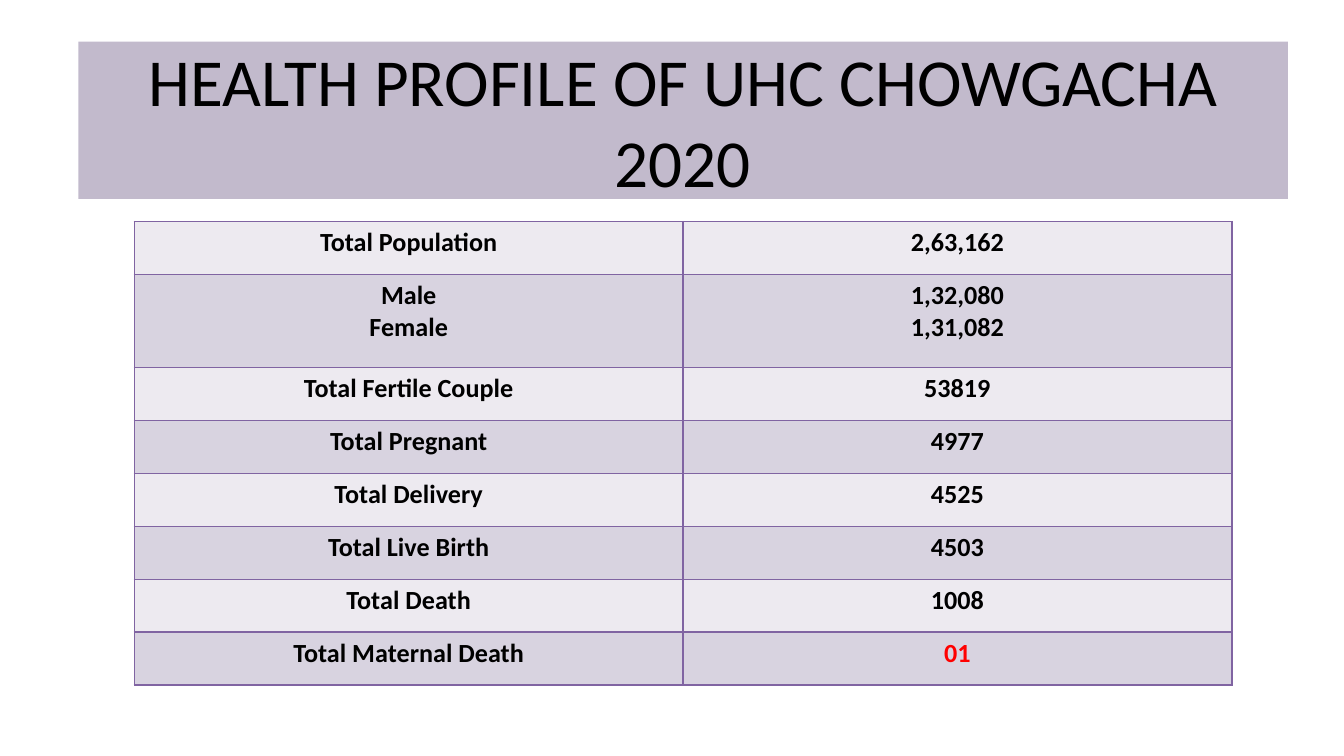
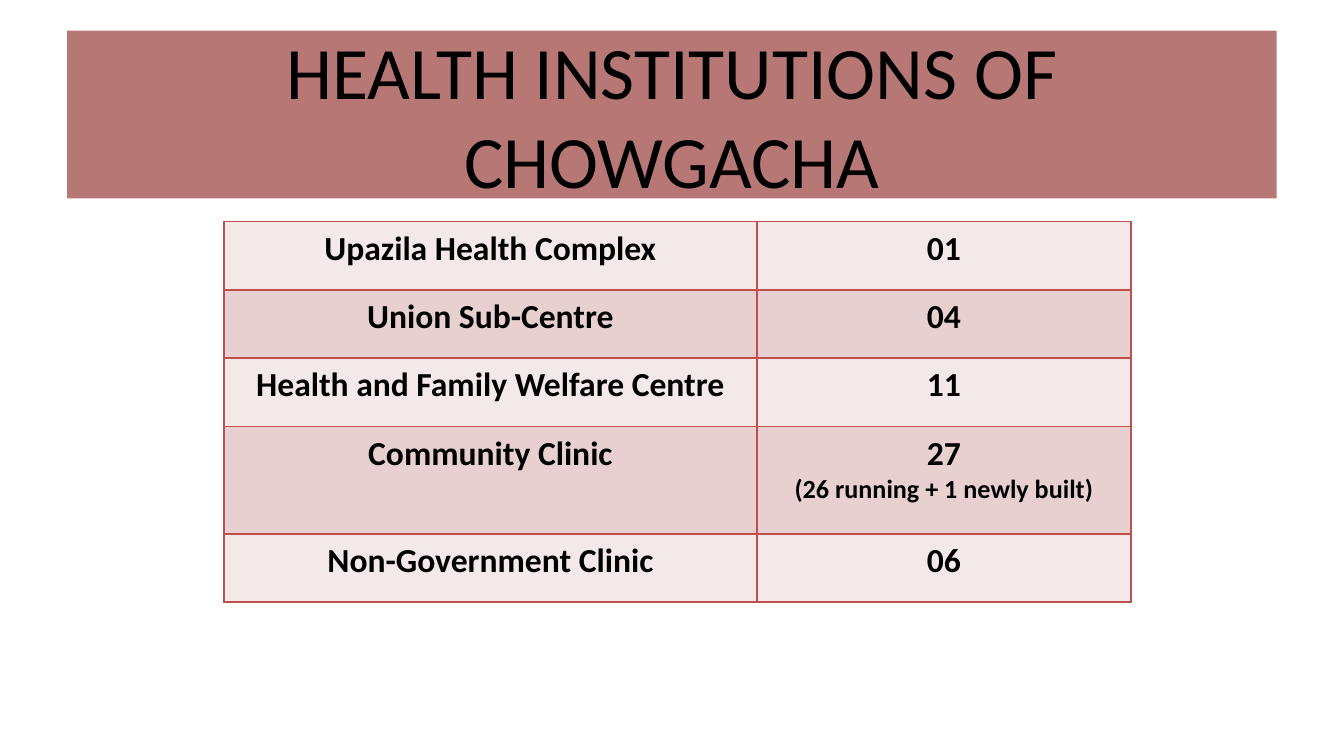
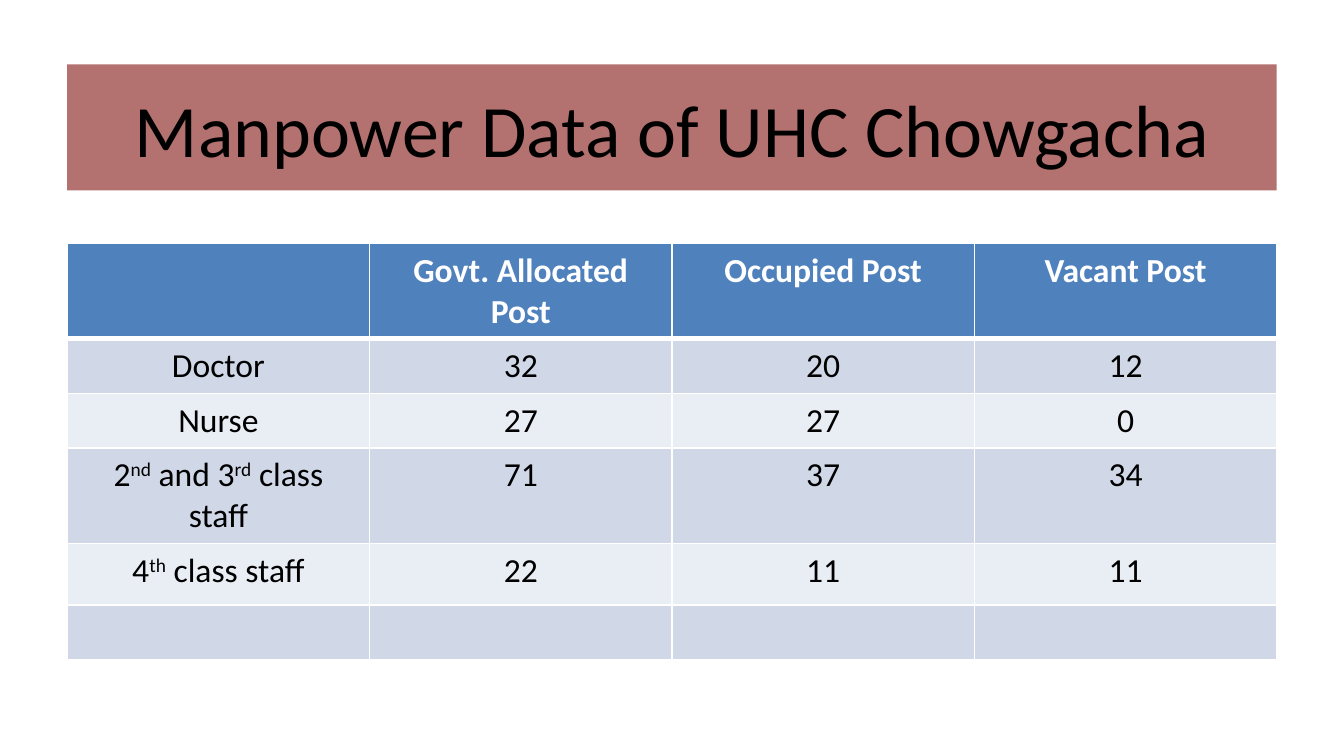
"""Build three slides on the health services of Chowgacha."""
from lxml import etree
from pptx import Presentation
from pptx import util as u
from pptx.dml.color import RGBColor
from pptx.enum import shapes, text
from pptx.oxml import ns

FONT = "Calibri"
BLACK = RGBColor(0, 0, 0)
WHITE = RGBColor(255, 255, 255)
RED = RGBColor(255, 0, 0)
PURPLE = RGBColor(0x80, 0x64, 0xA2)
PURPLE_BANDS = (RGBColor(0xED, 0xEA, 0xF0), RGBColor(0xD8, 0xD3, 0xE0))
PURPLE_BANNER = RGBColor(0x60, 0x4A, 0x7B)
ROSE = RGBColor(0xC0, 0x50, 0x4D)
ROSE_BANDS = (RGBColor(0xF4, 0xE9, 0xE9), RGBColor(0xE8, 0xD0, 0xD0))
ROSE_BANNER = RGBColor(0x95, 0x37, 0x35)
BLUE = RGBColor(0x4F, 0x81, 0xBD)
BLUE_BANDS = (RGBColor(0xE9, 0xED, 0xF4), RGBColor(0xD0, 0xD8, 0xE8))

PROFILE = (
    ("Total Population", "2,63,162"),
    ("Male\nFemale", "1,32,080\n1,31,082"),
    ("Total Fertile Couple", "53819"),
    ("Total Pregnant", "4977"),
    ("Total Delivery", "4525"),
    ("Total Live Birth", "4503"),
    ("Total Death", "1008"),
    ("Total Maternal Death", "01"),
)
INSTITUTIONS = (
    ("Upazila Health Complex", "01"),
    ("Union Sub-Centre", "04"),
    ("Health and Family Welfare Centre", "11"),
    ("Community Clinic", "27\n(26 running + 1 newly built)"),
    ("Non-Government Clinic", "06"),
)
MANPOWER = (
    ("", "Govt. Allocated Post", "Occupied Post", "Vacant Post"),
    ("Doctor", "32", "20", "12"),
    ("Nurse", "27", "27", "0"),
    ("2^nd^ and 3^rd^ class staff", "71", "37", "34"),
    ("4^th^ class staff", "22", "11", "11"),
    ("", "", "", ""),
)


def write(frame, wording, size, color=BLACK, bold=False):
    """Write centred paragraphs, raising the parts between carets."""
    for number, line in enumerate(wording.split("\n")):
        paragraph = frame.add_paragraph() if number else frame.paragraphs[0]
        paragraph.alignment = text.PP_ALIGN.CENTER
        for part, piece in enumerate(line.split("^")):
            if not piece:
                continue
            run = paragraph.add_run()
            run.text = piece
            run.font.name = FONT
            run.font.size = u.Pt(size)
            run.font.bold = bold
            run.font.color.rgb = color
            if part % 2:
                run.font._element.set("baseline", "30000")


def add_banner(slide, wording, left, top, height, color, opacity, size):
    """Add the translucent title band."""
    banner = slide.shapes.add_shape(
        shapes.MSO_SHAPE.RECTANGLE, u.Cm(left), u.Cm(top), u.Cm(22.86), u.Cm(height))
    banner.shadow.inherit = False
    banner.line.fill.background()
    banner.fill.solid()
    banner.fill.fore_color.rgb = color
    tint = banner.fill._xPr.find(".//" + ns.qn("a:srgbClr"))
    etree.SubElement(tint, ns.qn("a:alpha"), val=str(opacity * 1000))
    banner.text_frame.word_wrap = True
    banner.text_frame.vertical_anchor = text.MSO_ANCHOR.MIDDLE
    write(banner.text_frame, wording, size)


def set_borders(cell, color, top=1, bottom=1):
    """Draw the four borders of a cell, with widths in points."""
    properties = cell._tc.get_or_add_tcPr()
    for side, width in (("L", 1), ("R", 1), ("T", top), ("B", bottom)):
        edge = etree.SubElement(properties, ns.qn("a:ln" + side), w=str(u.Pt(width)))
        fill = etree.SubElement(edge, ns.qn("a:solidFill"))
        etree.SubElement(fill, ns.qn("a:srgbClr"), val=str(color))


def add_grid(slide, rows, left, top, widths, heights, border, bands,
             size=18, bold=True, header=None, margins=None):
    """Add a banded table, optionally with a coloured header row."""
    table = slide.shapes.add_table(
        len(rows), len(widths), u.Cm(left), u.Cm(top),
        u.Cm(sum(widths)), u.Cm(sum(heights))).table
    table.first_row = table.horz_banding = False
    for column, width in zip(table.columns, widths):
        column.width = u.Cm(width)
    for r, (entries, height) in enumerate(zip(rows, heights)):
        table.rows[r].height = u.Cm(height)
        heading = header is not None and r == 0
        for c, wording in enumerate(entries):
            cell = table.cell(r, c)
            set_borders(cell, border, 3 if header and r == 1 else 1, 3 if heading else 1)
            cell.fill.solid()
            cell.fill.fore_color.rgb = header if heading else bands[r % 2]
            if margins:
                cell.margin_left = cell.margin_right = u.Cm(margins[0])
                cell.margin_top = cell.margin_bottom = u.Cm(margins[1])
            write(cell.text_frame, wording, size,
                  WHITE if heading else BLACK, bold or heading)
    return table


def add_profile(slide):
    """Fill the health profile slide."""
    add_banner(slide, "HEALTH PROFILE OF UHC CHOWGACHA 2020",
               1.48, 0.79, 2.97, PURPLE_BANNER, 38, 36)
    profile = add_grid(slide, PROFILE, 2.54, 4.19, [10.37] * 2, [1, 1.76] + [1] * 6,
                       PURPLE, PURPLE_BANDS, size=14, margins=(0.18, 0.1))
    maternal_deaths = profile.cell(7, 1).text_frame.paragraphs[0].runs[0]
    maternal_deaths.font.color.rgb = RED


def add_institutions(slide):
    """Fill the health institutions slide."""
    institutions = add_grid(slide, INSTITUTIONS, 4.23, 4.19, [10.08, 7.06],
                            [1.29] * 3 + [2.03, 1.29], ROSE, ROSE_BANDS)
    clinic_note = institutions.cell(3, 1).text_frame.paragraphs[1].runs[0]
    clinic_note.font.size = u.Pt(14)
    add_banner(slide, "HEALTH INSTITUTIONS OF CHOWGACHA",
               1.27, 0.58, 3.17, ROSE_BANNER, 68, 39.6)


def add_manpower(slide):
    """Fill the manpower slide."""
    add_grid(slide, MANPOWER, 1.27, 4.6, [5.715] * 4,
             [1.8, 1.03, 1.03, 1.8, 1.17, 1.03], WHITE, BLUE_BANDS,
             bold=False, header=BLUE)
    add_banner(slide, "Manpower Data of UHC Chowgacha",
               1.27, 1.22, 2.38, ROSE_BANNER, 71, 39.6)


def main():
    """Build and save the presentation."""
    deck = Presentation()
    deck.slide_width, deck.slide_height = u.Cm(25.4), u.Cm(14.29)
    for fill_slide in (add_profile, add_institutions, add_manpower):
        fill_slide(deck.slides.add_slide(deck.slide_layouts[6]))
    deck.save("out.pptx")


if __name__ == "__main__":
    main()
